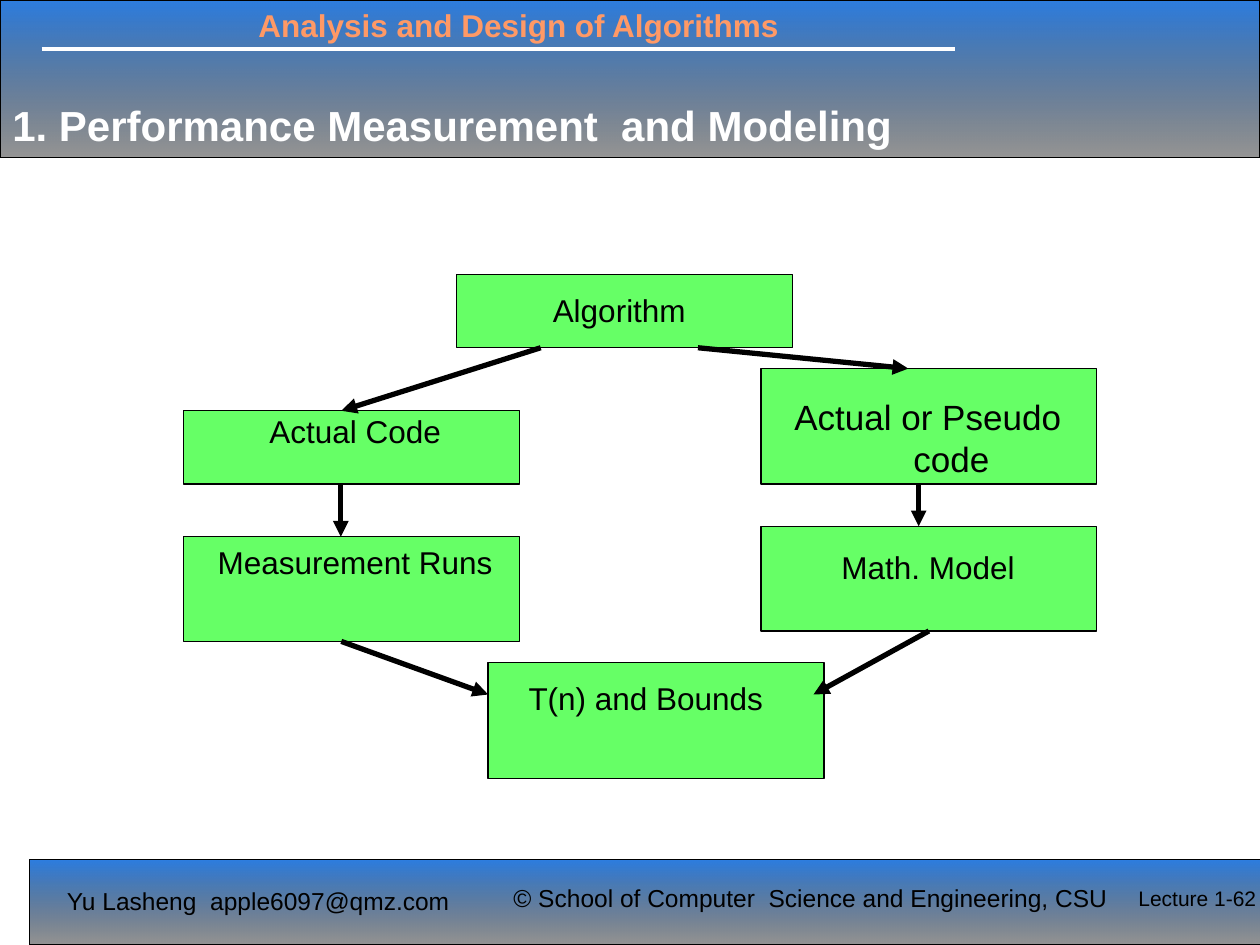
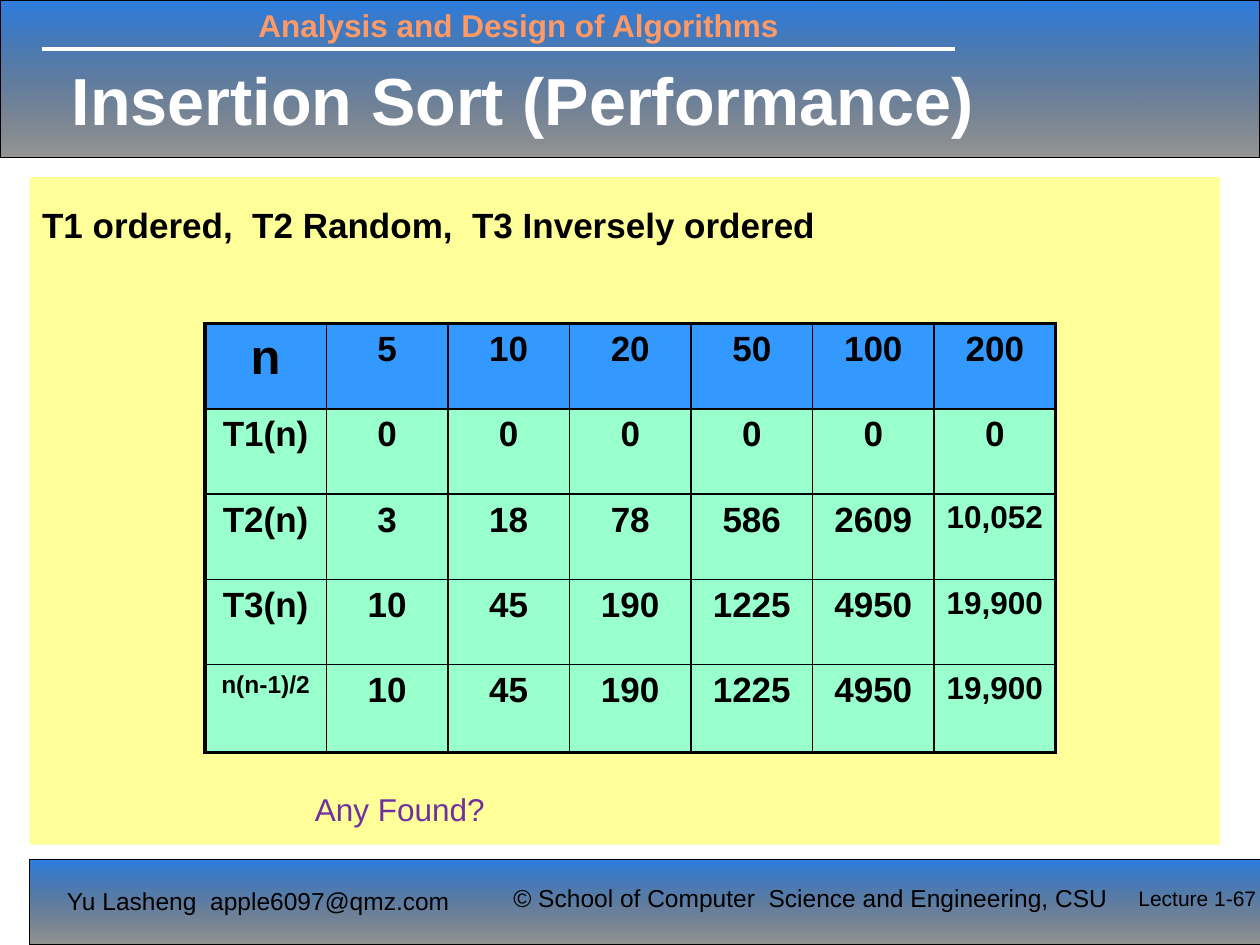
"""Build two algorithm lecture slides: a performance flow chart and an insertion sort table."""
from lxml.etree import SubElement
from pptx import Presentation
from pptx.dml.color import RGBColor
from pptx.enum.shapes import MSO_CONNECTOR, MSO_SHAPE
from pptx.enum.text import MSO_ANCHOR, PP_ALIGN
from pptx.oxml.ns import qn
from pptx.util import Cm, Pt

BLACK = RGBColor(0x00, 0x00, 0x00)
WHITE = RGBColor(0xFF, 0xFF, 0xFF)
BAND_BLUE = RGBColor(0x0E, 0x6B, 0xDC)
ORANGE = RGBColor(0xFF, 0x99, 0x66)
GREEN = RGBColor(0x66, 0xFF, 0x66)
YELLOW = RGBColor(0xFF, 0xFF, 0x99)
HEADER_BLUE = RGBColor(0x33, 0x99, 0xFF)
MINT = RGBColor(0x99, 0xFF, 0xCC)
PURPLE = RGBColor(0x70, 0x30, 0xA0)
FONT = "Arial"

COURSE = "Analysis and Design of Algorithms"
AUTHOR = "Yu Lasheng  apple6097@qmz.com"
SCHOOL = "© School of Computer  Science and Engineering, CSU"
BANDS = [(0, 0, 25.4, 3.18), (0.59, 17.33, 25.4, 1.72)]
BAND_STOPS = [(0, BAND_BLUE, 88), (1, BLACK, 41)]

STEP_WIDTH = 6.77
HANGING = 0.95
STEPS = [
    {"text": "Algorithm", "at": (9.21, 5.53), "height": 1.48, "insets": (0.25, 0.34, 0.47)},
    {"text": "Actual Code", "at": (3.7, 8.28), "height": 1.48, "insets": (0.42, 0.03, 0.27)},
    {"text": "Actual or Pseudo code", "at": (15.34, 7.43), "height": 2.33,
     "insets": (0.22, 0.54, 0.26), "size": 20},
    {"text": "Measurement Runs", "at": (3.7, 10.82), "height": 2.11, "insets": (0.42, 0.13, 0.27)},
    {"text": "Math. Model", "at": (15.34, 10.61), "height": 2.11, "insets": (0.43, 0.44, 0.46)},
    {"text": "T(n) and Bounds", "at": (9.84, 13.36), "height": 2.33, "insets": (0.48, 0.33, 0.89)},
]
ARROWS = [
    (10.9, 7.01, 6.88, 8.28),
    (14.07, 7.01, 18.31, 7.43),
    (6.87, 9.76, 6.87, 10.82),
    (18.52, 9.76, 18.52, 10.61),
    (6.88, 12.93, 9.84, 14),
]
MODEL_TO_BOUNDS = (18.72, 12.72, 16.4, 14)

TIMINGS = [
    ["n", "5", "10", "20", "50", "100", "200"],
    ["T1(n)", "0", "0", "0", "0", "0", "0"],
    ["T2(n)", "3", "18", "78", "586", "2609", "10,052"],
    ["T3(n)", "10", "45", "190", "1225", "4950", "19,900"],
    ["n(n-1)/2", "10", "45", "190", "1225", "4950", "19,900"],
]
CELL_SIZES = {"n": 28, "n(n-1)/2": 14, "10,052": 18, "19,900": 18}
TABLE_AT = (4.13, 6.52)
COLUMN_WIDTH = 2.45
ROW_HEIGHTS = [1.72] * 4 + [1.77]


def write(frame, text, size=18, color=BLACK, bold=False, align=PP_ALIGN.LEFT, hanging=0):
    """Put formatted text into the first paragraph of a text frame."""
    para = frame.paragraphs[0]
    para.alignment = align
    if hanging:
        properties = para._p.get_or_add_pPr()
        properties.set("marL", str(Cm(hanging)))
        properties.set("indent", str(-Cm(hanging)))
    span = para.add_run()
    span.text = text
    span.font.name = FONT
    span.font.size = Pt(size)
    span.font.bold = bold
    span.font.color.rgb = color


def add_text(page, text, at, anchor=MSO_ANCHOR.TOP, **style):
    """Add a text box."""
    frame = page.shapes.add_textbox(*map(Cm, at)).text_frame
    frame.word_wrap = True
    frame.vertical_anchor = anchor
    write(frame, text, **style)


def add_box(page, at, fill=None, outline=BLACK):
    """Add a rectangle, with the band gradient when no fill is given."""
    box = page.shapes.add_shape(MSO_SHAPE.RECTANGLE, *map(Cm, at))
    box.shadow.inherit = False
    if fill is None:
        box.fill.gradient()
        box.fill.gradient_angle = 270
        for stop, (position, color, opacity) in zip(box.fill.gradient_stops, BAND_STOPS):
            stop.color.rgb = color
            stop.position = position
            SubElement(stop._gs[0], qn("a:alpha"), val=str(opacity * 1000))
    else:
        box.fill.solid()
        box.fill.fore_color.rgb = fill
    if outline is None:
        box.line.fill.background()
    else:
        box.line.color.rgb = outline
        box.line.width = Pt(0.75)
    return box


def set_insets(box, left, top, right):
    """Anchor the text of a box at its top, inside the given insets."""
    frame = box.text_frame
    frame.word_wrap = True
    frame.vertical_anchor = MSO_ANCHOR.TOP
    frame.margin_left, frame.margin_top, frame.margin_right = Cm(left), Cm(top), Cm(right)
    frame.margin_bottom = 0
    return frame


def add_line(page, ends, color=BLACK, width=3, arrow=True):
    """Add a straight line, by default an arrow."""
    line = page.shapes.add_connector(MSO_CONNECTOR.STRAIGHT, *map(Cm, ends))
    line.line.color.rgb = color
    line.line.width = Pt(width)
    if arrow:
        SubElement(line.line._get_or_add_ln(), qn("a:tailEnd"), type="triangle")
    SubElement(line._element.spPr, qn("a:effectLst"))
    return line


def add_page(deck, title, at, size, number):
    """Add a slide with the shared bands, footer and title."""
    page = deck.slides.add_slide(deck.slide_layouts[6])
    for band in BANDS:
        add_box(page, band)
    add_line(page, (0.84, 0.99, 19.25, 0.99), color=WHITE, width=2.25, arrow=False)
    add_text(page, COURSE, (4.96, 0, 12.7, 1.02), color=ORANGE, bold=True)
    add_text(page, AUTHOR, (1.1, 17.73, 8.9, 0.86), size=14)
    add_text(page, SCHOOL, (10.1, 17.68, 14.2, 0.86), size=14)
    add_text(page, f"Lecture 1-{number}", (22.7, 17.73, 3, 1.27), size=12)
    add_text(page, title, at, anchor=MSO_ANCHOR.MIDDLE, size=size, color=WHITE, bold=True)
    return page


def add_flow(page):
    """Draw the steps and the arrows between them."""
    boxes = {}
    for step in STEPS:
        box = add_box(page, (*step["at"], STEP_WIDTH, step["height"]), GREEN)
        write(set_insets(box, *step["insets"]), step["text"], size=step.get("size", 18),
              align=PP_ALIGN.CENTER, hanging=HANGING)
        boxes[step["text"]] = box
    for ends in ARROWS:
        add_line(page, ends)
    add_line(page, MODEL_TO_BOUNDS).begin_connect(boxes["Math. Model"], 2)


def set_borders(cell, widths):
    """Draw black cell borders from a dict of side tags and widths."""
    properties = cell._tc.get_or_add_tcPr()
    for side, width in widths.items():
        border = SubElement(properties, qn(f"a:{side}"), w=str(Pt(width)))
        fill = SubElement(border, qn("a:solidFill"))
        SubElement(fill, qn("a:srgbClr"), val=str(BLACK))


def add_timings(page):
    """Add the table of timings, framed by a thicker border."""
    rows, columns = len(TIMINGS), len(TIMINGS[0])
    size = (columns * COLUMN_WIDTH, sum(ROW_HEIGHTS))
    table = page.shapes.add_table(rows, columns, *map(Cm, TABLE_AT + size)).table
    for column in table.columns:
        column.width = Cm(COLUMN_WIDTH)
    for row, height in zip(table.rows, ROW_HEIGHTS):
        row.height = Cm(height)
    for r, values in enumerate(TIMINGS):
        for c, value in enumerate(values):
            cell = table.cell(r, c)
            cell.margin_left = cell.margin_right = Cm(0.15)
            outer = {"lnL": c == 0, "lnR": c == columns - 1, "lnT": r == 0, "lnB": r == rows - 1}
            set_borders(cell, {side: 2.25 if edge else 1 for side, edge in outer.items()})
            cell.fill.solid()
            cell.fill.fore_color.rgb = HEADER_BLUE if r == 0 else MINT
            write(cell.text_frame, value, size=CELL_SIZES.get(value, 20), bold=True,
                  align=PP_ALIGN.CENTER)


def main():
    """Build and save the deck."""
    deck = Presentation()
    deck.slide_width, deck.slide_height = Cm(25.4), Cm(19.05)

    flow = add_page(deck, "1. Performance Measurement  and Modeling",
                    (0, 0.93, 23.47, 3.18), 24, 62)
    add_flow(flow)

    sorting = add_page(deck, "Insertion Sort (Performance)", (1.2, 0.99, 19.84, 2.01), 38, 67)
    panel = add_box(sorting, (0.6, 3.57, 24, 13.46), YELLOW, outline=None)
    write(set_insets(panel, 0.25, 0.54, 0.25), "T1 ordered,  T2 Random,  T3 Inversely ordered",
          size=20, bold=True, hanging=HANGING)
    add_timings(sorting)
    add_text(sorting, "Any Found?", (6.1, 15.8, 15.32, 1.02), color=PURPLE)

    deck.save("out.pptx")


if __name__ == "__main__":
    main()
